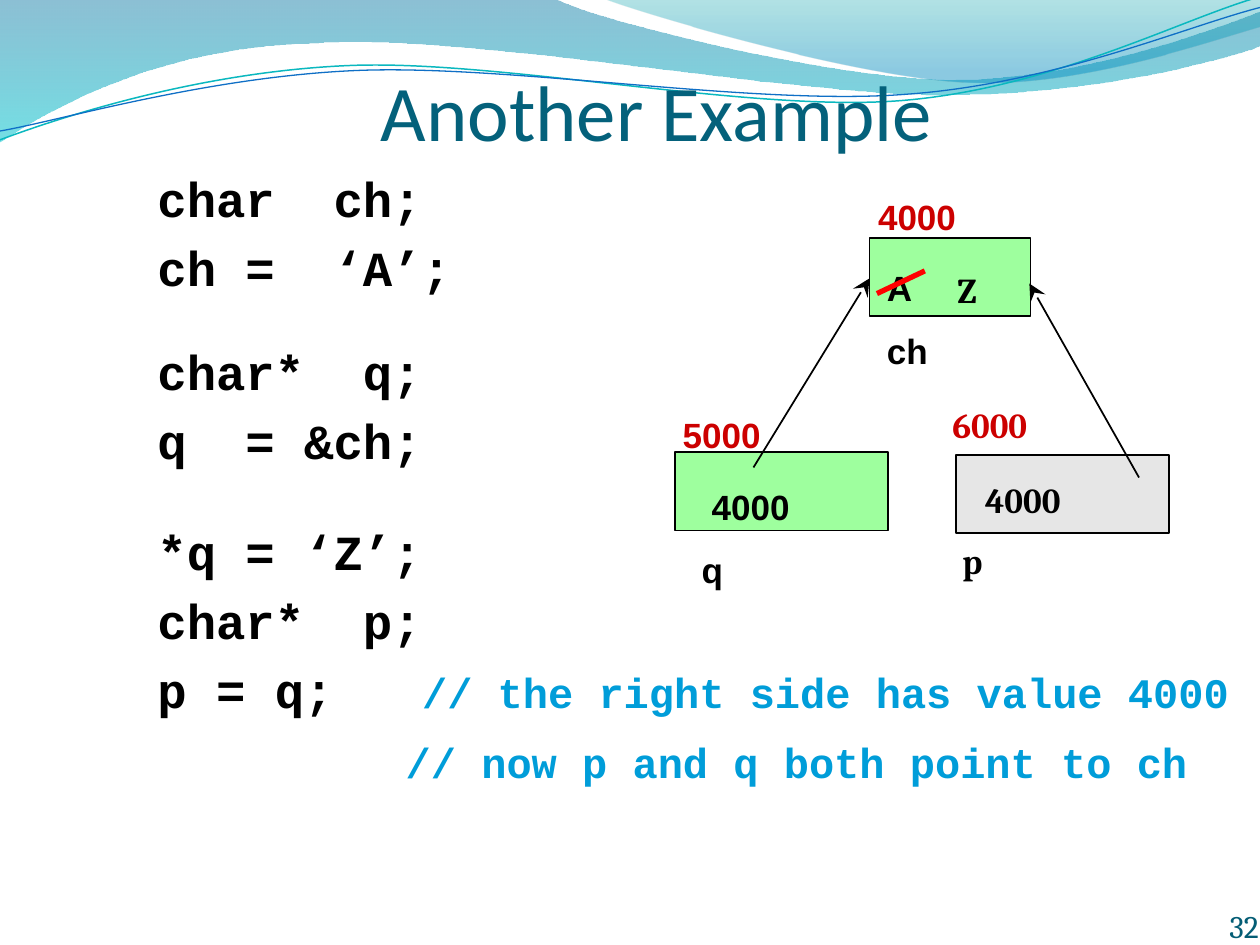
import math

from lxml import etree
from pptx import Presentation
from pptx.dml import color
from pptx.enum import shapes, text
from pptx.oxml import ns
from pptx.util import Inches, Pt

COLORS = {
    "black": "000000", "title": "04617B", "number": "045D75",
    "comment": "009DD9", "address": "CC0000", "strike": "FF0000",
    "green": "9EFF9E", "gray": "E6E6E6", "teal": "0AB8BF", "blue": "0F6FC6",
    "wave_top": "0074A1", "wave_end": "00C6CF",
    "crest_top": "00A1A9", "crest_end": "008BBF",
}


def rgb(name):
    return color.RGBColor.from_string(COLORS[name])


def sub(parent, tag, **attrs):
    return etree.SubElement(parent, ns.qn(tag), **attrs)


def tilt(step, center, degrees):
    """Turn every x, y pair of a step clockwise about the center."""
    angle = math.radians(degrees)
    cos, sin = math.cos(angle), math.sin(angle)
    cx, cy = center
    turned = []
    for x, y in zip(step[::2], step[1::2]):
        turned += [cx + (x - cx) * cos - (y - cy) * sin,
                   cy + (x - cx) * sin + (y - cy) * cos]
    return turned


class SlideBuilder:
    def __init__(self, slide):
        self.s = slide

    def freeform(self, steps, closed):
        """Draw steps of two numbers as lines and of six as Bezier curves."""
        pts = [(Inches(x), Inches(y)) for step in steps
               for x, y in zip(step[::2], step[1::2])]
        fb = self.s.shapes.build_freeform(*pts[0], scale=1.0)
        fb.add_line_segments(pts[1:], close=closed)
        sp = fb.convert_to_shape()
        sp.shadow.inherit = False
        segments = iter(list(sp._element.iter(ns.qn("a:lnTo"))))
        for step in steps[1:]:
            segment = next(segments)
            if len(step) == 6:
                segment.tag = ns.qn("a:cubicBezTo")
                for _ in range(2):
                    control = next(segments)
                    control.getparent().remove(control)
                    segment.append(control[0])
        return sp

    def wave(self, steps, stops):
        """Fill an outline top to bottom; stops are (position, color, opacity %)."""
        sp = self.freeform(steps, True)
        sp.line.fill.background()
        sp.fill.gradient()
        sp.fill.gradient_angle = 270
        for stop, (position, name, _) in zip(sp.fill.gradient_stops, stops):
            stop.position = position
            stop.color.rgb = rgb(name)
        for gs, (_, _, opacity) in zip(sp._element.iter(ns.qn("a:gs")), stops):
            sub(gs[0], "a:alpha", val=str(opacity * 1000))

    def ribbon(self, steps, center, name, width):
        """Draw a curve as a level shape tilted 2.7 degrees counterclockwise."""
        sp = self.freeform([tilt(step, center, 2.7) for step in steps], False)
        sp.fill.background()
        sp.line.color.rgb = rgb(name)
        sp.line.width = Pt(width)
        sp.rotation = 357.3

    def box(self, x, y, w, h, fill):
        sp = self.s.shapes.add_shape(shapes.MSO_SHAPE.RECTANGLE,
                                     Inches(x), Inches(y), Inches(w), Inches(h))
        sp.shadow.inherit = False
        sp.fill.solid()
        sp.fill.fore_color.rgb = rgb(fill)
        sp.line.color.rgb = rgb("black")
        sp.line.width = Pt(1)

    def line(self, start, end, name="black", width=1, arrow=False):
        cn = self.s.shapes.add_connector(shapes.MSO_CONNECTOR.STRAIGHT,
                                         *map(Inches, start + end))
        cn.line.color.rgb = rgb(name)
        cn.line.width = Pt(width)
        if arrow:
            sub(cn.line._get_or_add_ln(), "a:tailEnd", type="stealth", w="lg", len="lg")
        sub(cn._element.spPr, "a:effectLst")

    def frame(self, x, y, w, h, insets=(0.1, 0.05, 0.1, 0.05), wrap=True, bottom=False):
        tb = self.s.shapes.add_textbox(Inches(x), Inches(y), Inches(w), Inches(h))
        tf = tb.text_frame
        tf.word_wrap = wrap
        tf.margin_left, tf.margin_top, tf.margin_right, tf.margin_bottom = map(Inches, insets)
        if bottom:
            tf.vertical_anchor = text.MSO_ANCHOR.BOTTOM
        return tf

    def style(self, font, face, size, name, bold=False):
        font.name, font.size, font.bold = face, Pt(size), bold
        font.color.rgb = rgb(name)

    def paragraph(self, tf, words, style, before=0, indent=0, tab=None, align=None):
        p = tf.paragraphs[0]
        if p.runs:
            p = tf.add_paragraph()
        pPr = p._p.get_or_add_pPr()
        if indent:
            pPr.set("marL", str(Inches(indent)))
        if before:
            p.space_before = Pt(before)
        if tab:
            sub(sub(pPr, "a:tabLst"), "a:tab", pos=str(Inches(tab)), algn="l")
        if align:
            p.alignment = align
        p.add_run().text = words
        self.style(p.font, *style)
        return p

    def label(self, x, y, w, words, name="black"):
        tf = self.frame(x, y, w, 0.44, wrap=False)
        self.paragraph(tf, words, ("Cambria", 20, name, True))


def main():
    prs = Presentation()
    prs.slide_width, prs.slide_height = Inches(10), Inches(7.5)
    b = SlideBuilder(prs.slides.add_slide(prs.slide_layouts[6]))

    b.wave([(0, 0), (4.4, -0.01), (4.76, 0.17, 6.64, 0.63, 7.58, 0.63),
            (8.53, 0.63, 9.58, 0.26, 10, 0.09), (10.01, 0.36),
            (9.83, 0.44, 8.7, 0.76, 7.46, 0.75),
            (6.22, 0.75, 3.82, 0.28, 2.57, 0.34),
            (1.29, 0.36, 0.46, 0.83, -0.01, 1.13), (0, 0)],
           [(0, "wave_top", 45), (1, "wave_end", 55)])
    b.wave([(4.79, -0.01), (5.09, 0.11, 6.82, 0.62, 7.69, 0.65),
            (8.56, 0.69, 9.61, 0.32, 10, 0.21), (10, 0), (4.79, -0.01)],
           [(0, "crest_top", 30), (0.8, "crest_end", 45)])
    b.ribbon([(0, 1.11), (0.48, 0.93, 1.58, 0.57, 2.77, 0.52),
              (3.95, 0.47, 5.93, 0.89, 7.13, 0.8),
              (8.33, 0.71, 9.38, 0.15, 9.98, -0.02)], (4.99, 0.57), "teal", 0.85)
    b.ribbon([(0, 1.04), (0.47, 0.96, 1.64, 0.61, 2.83, 0.56),
              (4.03, 0.51, 5.97, 0.84, 7.17, 0.75),
              (8.36, 0.67, 9.41, 0.21, 10, 0.06)], (5, 0.59), "blue", 0.75)

    b.box(7.59, 3.61, 1.69, 0.62, "gray")
    title = b.frame(1.17, 0.42, 8.08, 0.83, (0, 0.05, 0, 0), bottom=True)
    b.paragraph(title, "Another Example", ("Calibri", 45, "title"),
                align=text.PP_ALIGN.CENTER)

    code = ("Courier New", 28, "black", True)
    comment = ("Courier New", 24, "comment", True)
    body = b.frame(0.92, 1.29, 9.04, 5.21, (0.33, 0.05, 0, 0.05))
    for words, before in [("char  ch;", 0), ("ch =  ‘A’;", 5.6), ("char*  q;", 25.8),
                          ("q  = &ch;", 5.6), ("*q = ‘Z’;", 30.3), ("char*  p;", 5.6)]:
        b.paragraph(body, words, code, before)
    p = b.paragraph(body, "p = q;\t", code, 5.6, tab=2.1)
    r = p.add_run()
    r.text = "// the right side has value 4000"
    b.style(r.font, *comment)
    b.paragraph(body, "// now p and q both point to ch", comment, 10.4, indent=1.97)

    number = b.frame(7.91, 7, 2.08, 0.5, (0, 0, 0, 0), bottom=True)
    b.paragraph(number, "32", ("Cambria", 18, "number"), align=text.PP_ALIGN.RIGHT)

    b.box(6.9, 1.89, 1.28, 0.62, "green")
    b.box(5.36, 3.59, 1.69, 0.62, "green")
    b.line((5.98, 3.71), (6.9, 2.21), arrow=True)
    memory = b.frame(5.32, 1.5, 3.75, 3.6)
    for words, name, before, indent in [
            ("4000", "address", 0, 1.55), ("A", "black", 17, 1.62),
            ("ch", "black", 12, 1.62), ("5000", "address", 24, 0),
            ("4000", "black", 17, 0.23), ("q", "black", 12, 0.15)]:
        b.paragraph(memory, words, ("Arial", 20, name, True), before, indent)
    b.line((6.96, 2.33), (7.34, 2.15), "strike", 3)
    b.line((9.04, 3.79), (8.17, 2.25), arrow=True)

    b.label(7.5, 2.08, 0.37, "Z")
    b.label(7.46, 3.15, 0.83, "6000", "address")
    b.label(7.72, 3.75, 0.83, "4000")
    b.label(7.54, 4.23, 0.37, "p")
    prs.save("out.pptx")


if __name__ == "__main__":
    main()
